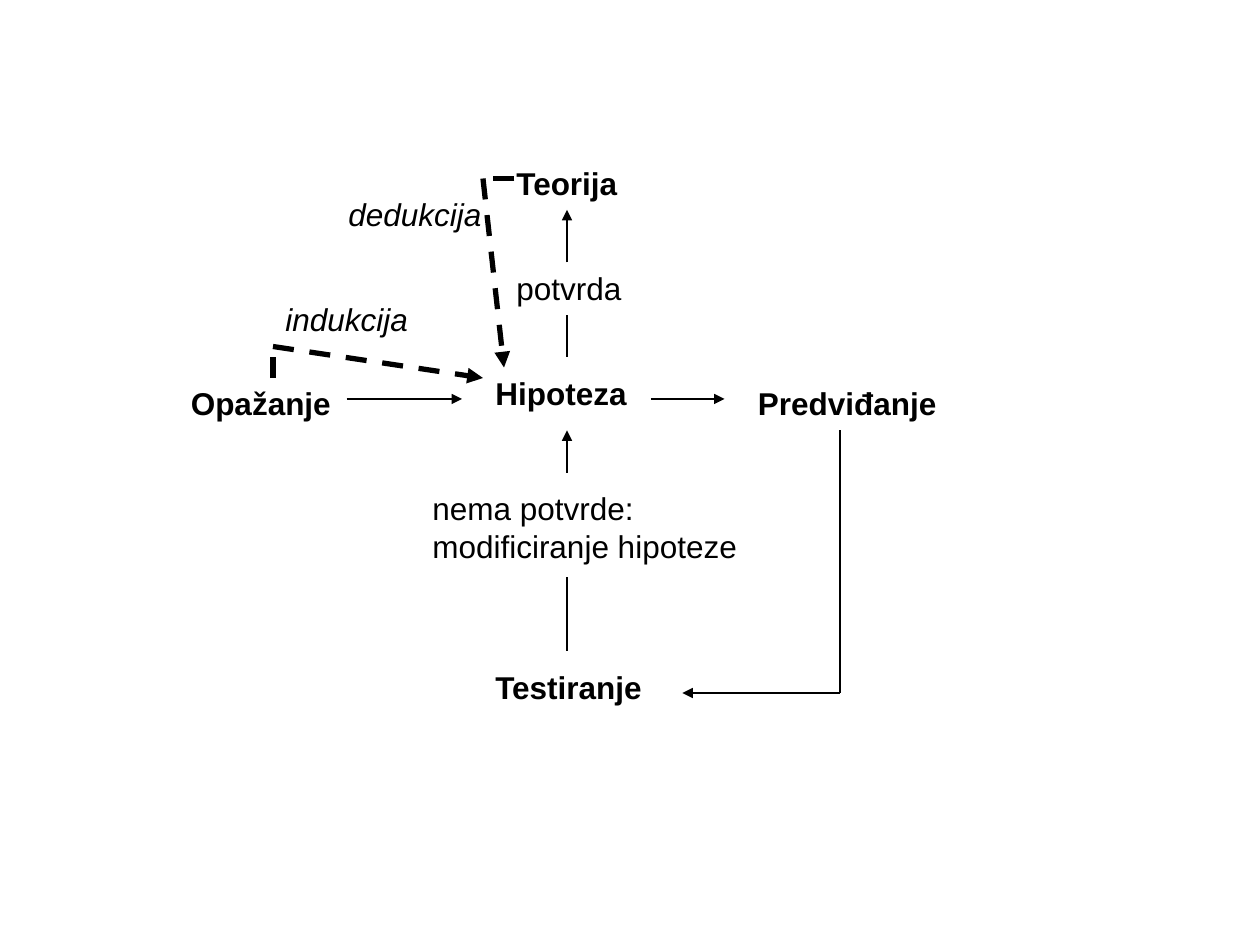
import pptx
import pptx.dml.color
import pptx.enum.dml
import pptx.enum.shapes
import pptx.enum.text
import pptx.oxml.ns
import pptx.util
from lxml import etree

PX = 7620  # EMU, 120 px to the inch
BLACK = pptx.dml.color.RGBColor(0, 0, 0)
FONT = "Arial"
LINE_HEIGHT = 36

# text, left, top, width
STAGES = [
    ("Opažanje", 170, 360, 197),
    ("Hipoteza", 460, 350, 150),
    ("Predviđanje", 710, 360, 210),
    ("Testiranje", 460, 630, 170),
    ("Teorija", 480, 150, 150),
]
OUTCOMES = [
    ("nema potvrde:\nmodificiranje hipoteze", 400, 460, 314),
    ("potvrda", 480, 250, 125),
]
INFERENCES = [
    ("dedukcija", 320, 180, 153),
    ("indukcija", 260, 280, 143),
]
# routes of points; the arrowhead is at the last point
ARROWS = [
    [(330, 380), (440, 380)],
    [(620, 380), (690, 380)],
    [(540, 450), (540, 410)],
    [(540, 250), (540, 200)],
    [(800, 410), (800, 660), (650, 660)],
]
PLAIN_LINES = [
    [(540, 620), (540, 550)],
    [(540, 340), (540, 300)],
]
INFERENCE_ARROWS = [
    [(490, 170), (460, 170), (480, 350)],
    [(260, 360), (260, 330), (460, 360)],
]


def add_label(page, text, left, top, width, bold=False, italic=False, wrap=False):
    height = LINE_HEIGHT * (text.count("\n") + 1) + 12
    box = page.shapes.add_textbox(left * PX, top * PX, width * PX, height * PX)
    frame = box.text_frame
    frame.word_wrap = wrap
    frame.auto_size = pptx.enum.text.MSO_AUTO_SIZE.SHAPE_TO_FIT_TEXT
    frame.text = text
    for para in frame.paragraphs:
        for span in para.runs:
            span.font.name = FONT
            span.font.size = pptx.util.Pt(18)
            span.font.bold = bold
            span.font.italic = italic
            span.font.color.rgb = BLACK


def add_line(page, start, end, weight, dashed, arrow):
    points = [value * PX for value in (*start, *end)]
    line = page.shapes.add_connector(
        pptx.enum.shapes.MSO_CONNECTOR.STRAIGHT, *points)
    line.line.color.rgb = BLACK
    line.line.width = pptx.util.Pt(weight)
    if dashed:
        line.line.dash_style = pptx.enum.dml.MSO_LINE.DASH
    qn = pptx.oxml.ns.qn
    properties = line.element.spPr
    if arrow:
        outline = properties.find(qn("a:ln"))
        etree.SubElement(outline, qn("a:tailEnd"), type="triangle")
    etree.SubElement(properties, qn("a:effectLst"))


def add_route(page, points, weight=0.72, dashed=False, arrow=True):
    """Draw a line through the points, with an arrowhead at the last one."""
    last = len(points) - 1
    for index in range(last):
        add_line(page, points[index], points[index + 1], weight, dashed,
                 arrow and index + 1 == last)


def main():
    deck = pptx.Presentation()
    deck.slide_width = 1200 * PX
    deck.slide_height = 900 * PX
    page = deck.slides.add_slide(deck.slide_layouts[6])
    for points in ARROWS:
        add_route(page, points)
    for points in PLAIN_LINES:
        add_route(page, points, arrow=False)
    for stage in STAGES:
        add_label(page, *stage, bold=True, wrap=True)
    for outcome in OUTCOMES:
        add_label(page, *outcome)
    for points in INFERENCE_ARROWS:
        add_route(page, points, weight=3, dashed=True)
    for inference in INFERENCES:
        add_label(page, *inference, italic=True)
    deck.save("out.pptx")


if __name__ == "__main__":
    main()
